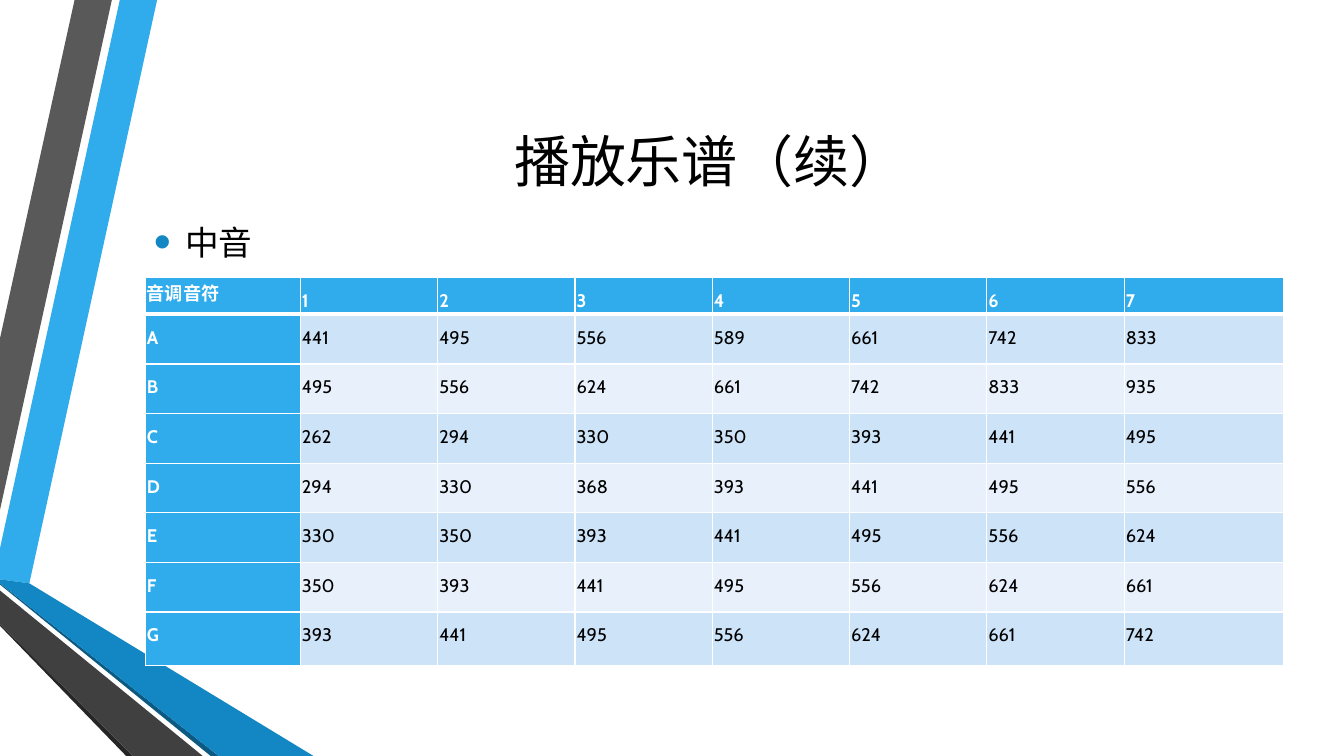
from dataclasses import dataclass

from lxml import etree
from pptx import Presentation
from pptx import util as u
from pptx.dml.color import RGBColor
from pptx.enum import text
from pptx.oxml import ns

FONT = "Cabin"
COLORS = {
    "sky": "30ACEC", "blue": "1287C3", "navy": "0C5A82",
    "gray": "595959", "charcoal": "404040", "soot": "262626",
    "band_dark": "CDE3F8", "band_light": "E8F1FB",
    "black": "000000", "white": "FFFFFF",
}


@dataclass(frozen=True)
class Ribbon:
    color: str
    points: list[tuple[float, float]]


RIBBONS = [
    Ribbon("sky", [(0, 13.82), (0, 14.6), (0.74, 14.7), (3.96, 0), (3.02, 0)]),
    Ribbon("gray", [(2.82, 0), (1.88, 0), (0, 8.53), (0, 12.85)]),
    Ribbon("soot", [(0, 15.72), (0, 15.77), (3.18, 19.05), (3.35, 19.05)]),
    Ribbon("navy", [(0, 14.7), (0, 14.73), (5.31, 19.05), (5.51, 19.05)]),
    Ribbon("blue", [(0, 14.7), (5.51, 19.05), (7.9, 19.05), (0.74, 14.7), (0, 14.6)]),
    Ribbon("charcoal", [(0, 15.72), (3.35, 19.05), (5.11, 19.05), (0, 14.88)]),
]

HEADER = ["音调音符", "1", "2", "3", "4", "5", "6", "7"]
FREQUENCIES = {
    "A": [441, 495, 556, 589, 661, 742, 833],
    "B": [495, 556, 624, 661, 742, 833, 935],
    "C": [262, 294, 330, 350, 393, 441, 495],
    "D": [294, 330, 368, 393, 441, 495, 556],
    "E": [330, 350, 393, 441, 495, 556, 624],
    "F": [350, 393, 441, 495, 556, 624, 661],
    "G": [393, 441, 495, 556, 624, 661, 742],
}
COLUMN_WIDTHS = [3.91] + [3.46] * 6 + [4.02]
ROW_HEIGHTS = [0.92] + [1.25] * 6 + [1.34]


def rgb(name: str) -> RGBColor:
    return RGBColor.from_string(COLORS[name])


def write(frame, content: str, *, size: float, color: str = "black",
          bold: bool = False, align=text.PP_ALIGN.LEFT, before: float = 0,
          after: float = 0, spacing: float = 1.0):
    para = frame.paragraphs[0]
    para.alignment = align
    para.space_before, para.space_after = u.Pt(before), u.Pt(after)
    para.line_spacing = spacing
    span = para.add_run()
    span.text = content
    span.font.name, span.font.size, span.font.bold = FONT, u.Pt(size), bold
    span.font.color.rgb = rgb(color)
    return para


def add_box(page, top: float, height: float):
    box = page.shapes.add_textbox(u.Cm(3.63), u.Cm(top), u.Cm(28.52), u.Cm(height))
    frame = box.text_frame
    frame.word_wrap = True
    frame.vertical_anchor = text.MSO_ANCHOR.MIDDLE
    return frame


def add_bullet(para) -> None:
    properties = para._p.get_or_add_pPr()
    indent = u.Cm(0.79)
    properties.set("marL", str(indent))
    properties.set("indent", str(-indent))
    color = etree.SubElement(properties, ns.qn("a:buClr"))
    etree.SubElement(color, ns.qn("a:srgbClr"), val=COLORS["blue"])
    etree.SubElement(properties, ns.qn("a:buSzPct"), val="145000")
    etree.SubElement(properties, ns.qn("a:buFont"), typeface="Arial")
    etree.SubElement(properties, ns.qn("a:buChar"), char="•")


def draw_ribbon(page, ribbon: Ribbon) -> None:
    start, *rest = [(u.Cm(x), u.Cm(y)) for x, y in ribbon.points]
    builder = page.shapes.build_freeform(*start, scale=1.0)
    builder.add_line_segments(rest, close=True)
    shape = builder.convert_to_shape()
    shape.shadow.inherit = False
    shape.fill.solid()
    shape.fill.fore_color.rgb = rgb(ribbon.color)
    shape.line.fill.background()


def set_borders(cell, widths: dict[str, float]) -> None:
    properties = cell._tc.get_or_add_tcPr()
    for index, (side, width) in enumerate(widths.items()):
        line = etree.Element(ns.qn(f"a:ln{side}"), w=str(u.Pt(width)))
        fill = etree.SubElement(line, ns.qn("a:solidFill"))
        etree.SubElement(fill, ns.qn("a:srgbClr"), val=COLORS["white"])
        properties.insert(index, line)


def fill_cell(cell, content: str, row: int, column: int) -> None:
    heading = row == 0 or column == 0
    band = "band_dark" if row % 2 else "band_light"
    cell.fill.solid()
    cell.fill.fore_color.rgb = rgb("sky" if heading else band)
    cell.margin_left = cell.margin_right = u.Cm(0.04)
    cell.margin_top = cell.margin_bottom = u.Cm(0.04)
    set_borders(cell, {"L": 1, "R": 1, "T": 3 if row == 1 else 1,
                       "B": 3 if row == 0 else 1})
    corner = row == 0 and column == 0
    gap = 0 if corner else 7.5
    write(cell.text_frame, content, size=13, bold=heading,
          color="white" if heading else "black",
          before=gap, after=gap, spacing=1.0 if corner else 1.5)


def draw_table(page) -> None:
    rows = [HEADER] + [[tone, *map(str, notes)] for tone, notes in FREQUENCIES.items()]
    table = page.shapes.add_table(
        len(rows), len(HEADER), u.Cm(3.66), u.Cm(7),
        u.Cm(sum(COLUMN_WIDTHS)), u.Cm(sum(ROW_HEIGHTS))).table
    table.first_row = table.horz_banding = False
    for column, width in zip(table.columns, COLUMN_WIDTHS):
        column.width = u.Cm(width)
    for row, height in zip(table.rows, ROW_HEIGHTS):
        row.height = u.Cm(height)
    for r, contents in enumerate(rows):
        for c, content in enumerate(contents):
            fill_cell(table.cell(r, c), content, r, c)


def main() -> None:
    deck = Presentation()
    deck.slide_width, deck.slide_height = u.Cm(33.87), u.Cm(19.05)
    page = deck.slides.add_slide(deck.slide_layouts[6])
    for ribbon in RIBBONS:
        draw_ribbon(page, ribbon)
    write(add_box(page, 1.27, 5.51), "播放乐谱（续）", size=40,
          align=text.PP_ALIGN.CENTER)
    add_bullet(write(add_box(page, 4.93, 2.34), "中音", size=24, before=4.8, after=6))
    draw_table(page)
    deck.save("out.pptx")


if __name__ == "__main__":
    main()
